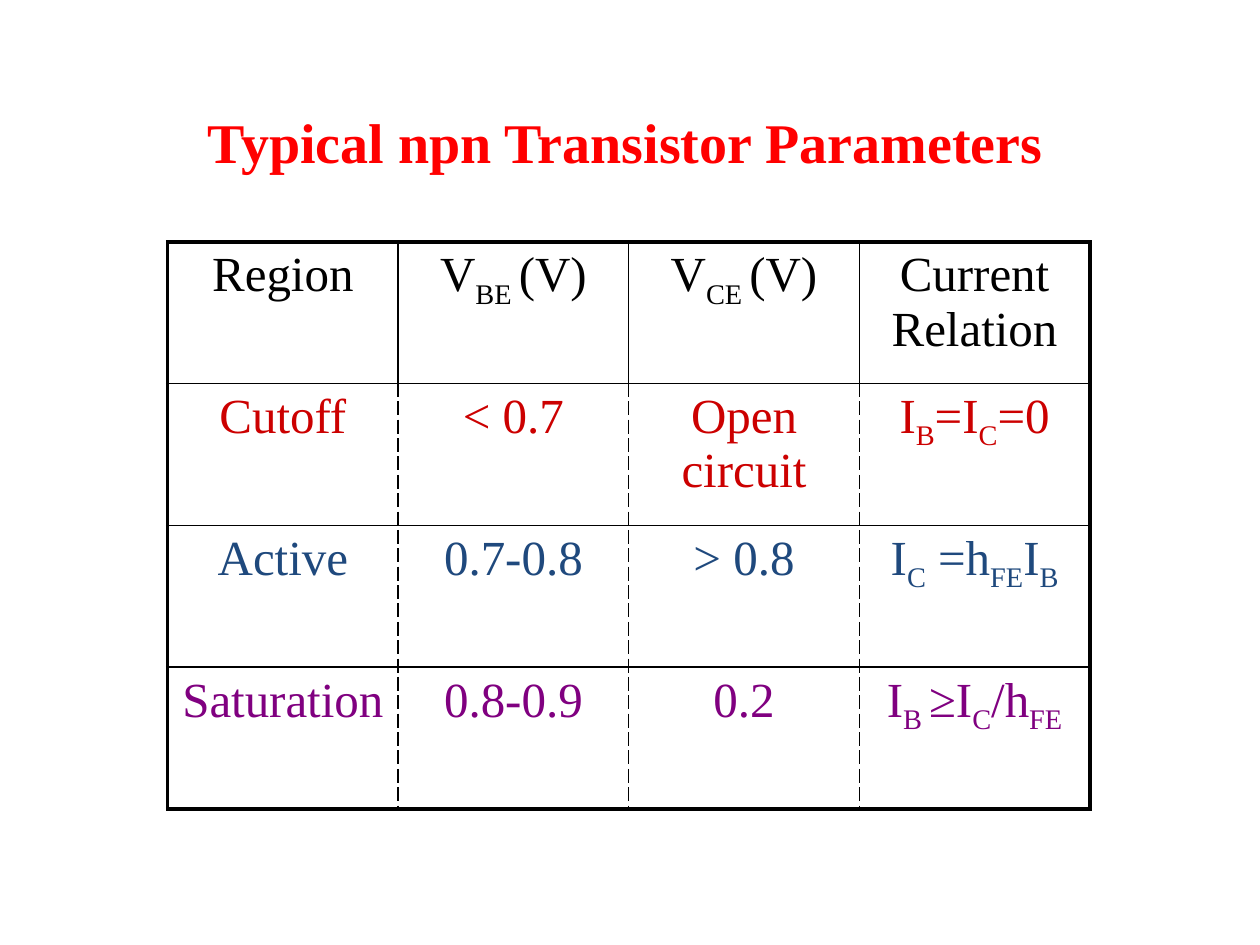
from lxml import etree
from pptx import Presentation
from pptx.dml.color import RGBColor
from pptx.enum.text import MSO_ANCHOR, PP_ALIGN
from pptx.oxml.ns import qn
from pptx.util import Inches, Pt

CENTER = PP_ALIGN.CENTER
BOTTOM, TOP = MSO_ANCHOR.BOTTOM, MSO_ANCHOR.TOP
BLACK = RGBColor(0x00, 0x00, 0x00)
TITLE_RED = RGBColor(0xFF, 0x00, 0x00)
RED = RGBColor(0xCC, 0x00, 0x00)
BLUE = RGBColor(0x1F, 0x49, 0x7D)
PURPLE = RGBColor(0x80, 0x00, 0x80)
FONT = "Times New Roman"
THIN, THICK = 1, 2.25

# Content: every second part between bars is a subscript
TITLE = "Typical npn Transistor Parameters"
# (text colour, dash of the inner vertical borders, cell texts)
ROWS = [
    (BLACK, "solid", ["Region", "V|BE |(V)", "V|CE |(V)", "Current Relation"]),
    (RED, "lgDash", ["Cutoff", "< 0.7", "Open circuit", "I|B|=I|C|=0"]),
    (BLUE, "dash", ["Active", "0.7-0.8", "> 0.8", "I|C| =h|FE|I|B"]),
    (PURPLE, "dash", ["Saturation", "0.8-0.9", "0.2", "I|B |≥I|C|/h|FE"]),
]
N_ROWS, N_COLS = len(ROWS), len(ROWS[0][2])


def style_run(r, size, color, bold=False):
    r.font.name = FONT
    r.font.size = Pt(size)
    r.font.bold = bold
    r.font.color.rgb = color


def fill_cell(cell, text, color):
    cell.vertical_anchor = TOP
    p = cell.text_frame.paragraphs[0]
    p.alignment = CENTER
    for i, part in enumerate(text.split("|")):
        r = p.add_run()
        r.text = part
        style_run(r, 28, color)
        if i % 2:
            r.font._element.set("baseline", "-25000")


def add_border(cell, side, width, dash="solid"):
    tc_pr = cell._tc.get_or_add_tcPr()
    ln = etree.SubElement(tc_pr, qn("a:ln" + side), w=str(Pt(width)))
    fill = etree.SubElement(ln, qn("a:solidFill"))
    etree.SubElement(fill, qn("a:srgbClr"), val=str(BLACK))
    etree.SubElement(ln, qn("a:prstDash"), val=dash)


prs = Presentation()
prs.slide_width, prs.slide_height = Inches(10), Inches(7.5)
s = prs.slides.add_slide(prs.slide_layouts[5])

# Title
title = s.shapes.title
title.left, title.top = Inches(0.83), Inches(0.17)
title.width, title.height = Inches(8.27), Inches(1.25)
tf = title.text_frame
tf.text = TITLE
tf.vertical_anchor = BOTTOM
tf.margin_bottom = Inches(0.03)
p = tf.paragraphs[0]
p.alignment = CENTER
style_run(p.runs[0], 32, TITLE_RED, bold=True)

# Table: equal columns and rows, thick outer frame
table = s.shapes.add_table(N_ROWS, N_COLS, Inches(1.33), Inches(1.92),
                           Inches(7.32), Inches(4.5)).table
table.first_row = table.horz_banding = False

for i, (color, dash, texts) in enumerate(ROWS):
    for j, text in enumerate(texts):
        cell = table.cell(i, j)
        fill_cell(cell, text, color)
        edges = [("L", j == 0, dash), ("R", j == N_COLS - 1, dash),
                 ("T", i == 0, "solid"), ("B", i == N_ROWS - 1, "solid")]
        for side, outer, inner_dash in edges:
            if outer:
                add_border(cell, side, THICK)
            else:
                add_border(cell, side, THIN, inner_dash)
        cell.fill.background()

prs.save("out.pptx")
